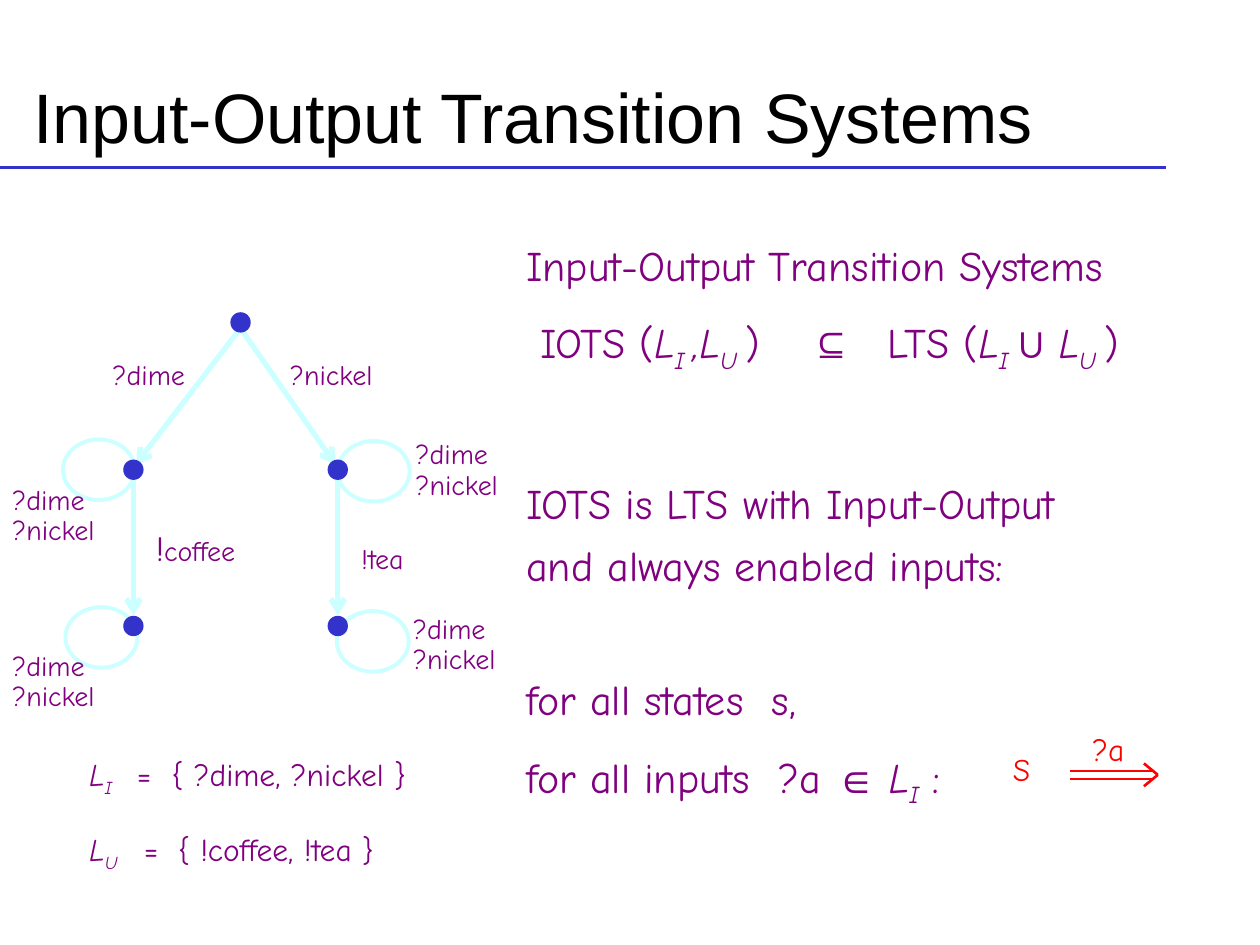
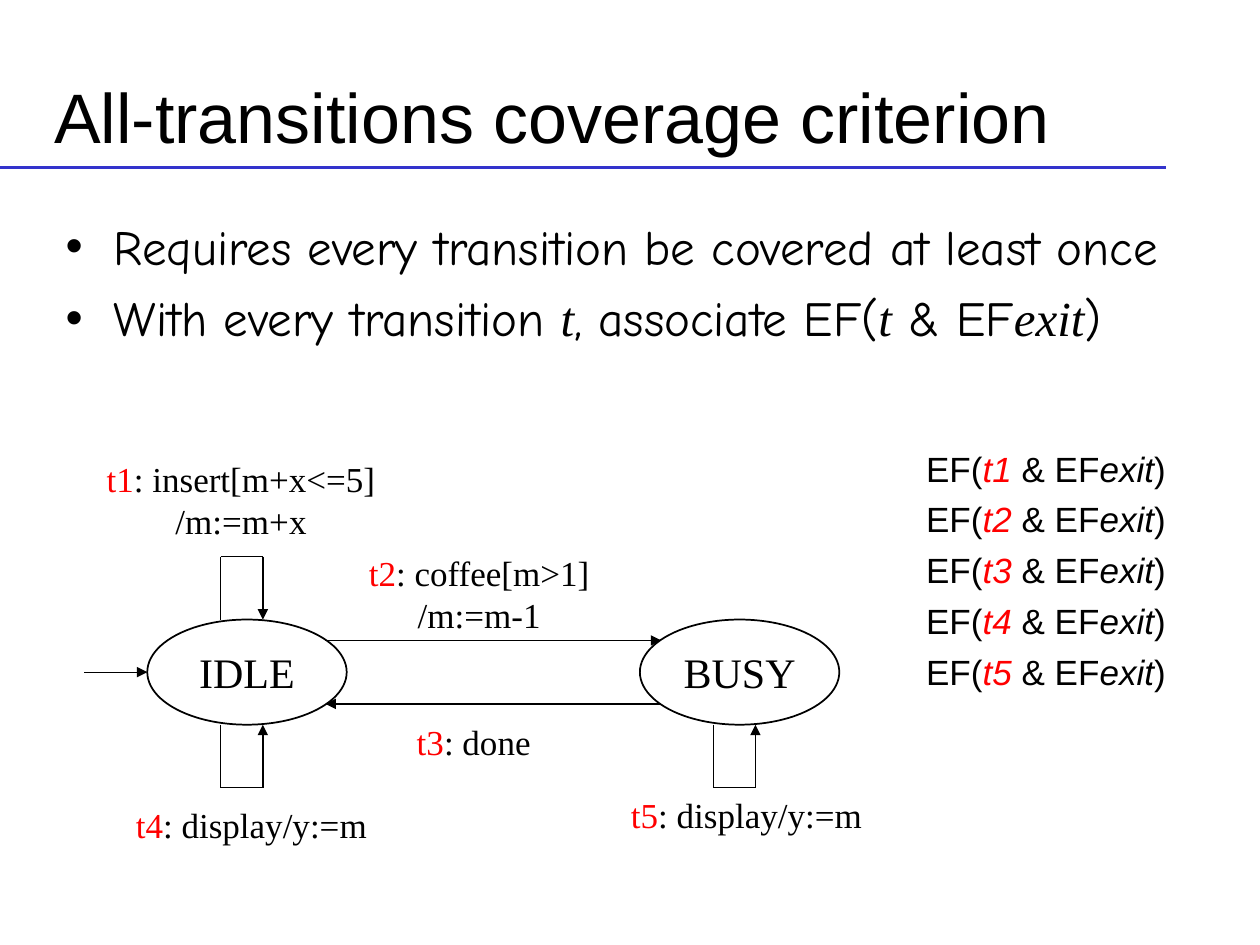
from lxml import etree
from pptx import Presentation
from pptx.dml.color import RGBColor
from pptx.enum.shapes import MSO_CONNECTOR, MSO_SHAPE
from pptx.enum.text import MSO_ANCHOR, MSO_AUTO_SIZE, PP_ALIGN
from pptx.oxml.ns import qn
from pptx.util import Cm, Pt

STRAIGHT = MSO_CONNECTOR.STRAIGHT
OVAL = MSO_SHAPE.OVAL
DOT = MSO_SHAPE.FLOWCHART_CONNECTOR
LEFT, CENTER = PP_ALIGN.LEFT, PP_ALIGN.CENTER
TOP, MIDDLE = MSO_ANCHOR.TOP, MSO_ANCHOR.MIDDLE
NO_FIT = MSO_AUTO_SIZE.NONE

COLORS = {
    "ink": "000000",
    "rule": "3333CC",
    "formula": "800080",
    "edge": "CCFFFF",
    "accent": "FF0000",
}
SANS, COMIC, SERIF = "Arial", "Comic Neue", "Times New Roman"
STYLES = {
    "italic": {"italic": True},
    "sub": {"italic": True, "baseline": -25000},
    "symbol": {"name": SANS},
    "variable": {"name": SERIF, "italic": True},
    "large": {"size": Pt(20)},
    "tag": {"color": "accent"},
    "italic tag": {"color": "accent", "italic": True},
}
TITLE_ONLY, TITLE_AND_BODY = 5, 1


def color(name):
    return RGBColor.from_string(COLORS[name])


def place(shape, box):
    shape.left, shape.top, shape.width, shape.height = map(Cm, box)


def add_span(para, span):
    """A span is plain text, or a pair of text and style name."""
    text, style = (span, None) if isinstance(span, str) else span
    run = para.add_run()
    run.text = text
    for key, value in STYLES.get(style, {}).items():
        if key == "baseline":
            run.font._element.set("baseline", str(value))
        elif key == "color":
            run.font.color.rgb = color(value)
        else:
            setattr(run.font, key, value)


def add_bullet(para):
    props = para._p.get_or_add_pPr()
    props.set("marL", str(Cm(0.97)))
    props.set("indent", str(-Cm(0.97)))
    etree.SubElement(props, qn("a:buFont"), typeface=SANS)
    etree.SubElement(props, qn("a:buChar"), char="•")


def add_tabs(para, stops):
    tabs = etree.SubElement(para._p.get_or_add_pPr(), qn("a:tabLst"))
    for stop in stops:
        etree.SubElement(tabs, qn("a:tab"), pos=str(Cm(stop)), algn="l")


def fill_text(frame, paras, font, size, ink="ink", align=LEFT, anchor=TOP,
              gaps=0, line=None, tabs=None, bullets=False):
    """gaps is one space before, or a list with one for each later paragraph."""
    frame.auto_size = NO_FIT
    frame.vertical_anchor = anchor
    for index, spans in enumerate(paras):
        para = frame.add_paragraph() if index else frame.paragraphs[0]
        if bullets:
            add_bullet(para)
        if tabs and tabs[index]:
            add_tabs(para, tabs[index])
        para.alignment = align
        gap = gaps[index - 1] if isinstance(gaps, list) else gaps
        para.space_before = Pt(gap if index else 0)
        if line:
            para.line_spacing = line
        para.font.name = font
        para.font.size = Pt(size)
        para.font.color.rgb = color(ink)
        for span in spans:
            add_span(para, span)


def add_text(page, box, paras, font, size, **options):
    shape = page.shapes.add_textbox(*map(Cm, box))
    shape.text_frame.word_wrap = True
    fill_text(shape.text_frame, paras, font, size, **options)


def add_line(page, start, end, ink, width, arrow=None):
    line = page.shapes.add_connector(STRAIGHT, *map(Cm, (*start, *end)))
    line.line.color.rgb = color(ink)
    line.line.width = Pt(width)
    if arrow:
        etree.SubElement(line.line._get_or_add_ln(), qn("a:tailEnd"), type=arrow)
    etree.SubElement(line._element.spPr, qn("a:effectLst"))


def add_round(page, kind, box, fill=None, outline=None, width=1):
    shape = page.shapes.add_shape(kind, *map(Cm, box))
    shape.shadow.inherit = False
    if fill:
        shape.fill.solid()
        shape.fill.fore_color.rgb = color(fill)
    else:
        shape.fill.background()
    if outline:
        shape.line.color.rgb = color(outline)
        shape.line.width = Pt(width)
    else:
        shape.line.fill.background()
    return shape


def add_page(deck, layout, title, title_left):
    page = deck.slides.add_slide(deck.slide_layouts[layout])
    for holder in list(page.placeholders):
        if holder.placeholder_format.type in (13, 15, 16):
            holder._element.getparent().remove(holder._element)
    place(page.shapes.title, (title_left, 1.27, 23.7, 2.11))
    fill_text(page.shapes.title.text_frame, [[title]], SANS, 40, anchor=MIDDLE)
    add_line(page, (0, 3.38), (23.5, 3.38), "rule", 2)
    return page


def add_label_sets(page, box):
    paras = [
        [("L", "italic"), ("I", "sub"), "\t=\t{ ?dime, ?nickel }"],
        [("L", "italic"), ("U", "sub"), "\t=\t{ !coffee, !tea }"],
    ]
    for para in paras:
        para[:2] = [para[0], para[1]]
    add_text(page, box, paras, COMIC, 18, ink="formula", gaps=18,
             tabs=[(0.96, 1.66), (1.1, 1.79)])


def add_definition(page, box):
    paras = [
        ["Input-Output Transition Systems"],
        [" IOTS (", ("L", "italic"), ("I ", "sub"), (",L", "italic"), ("U ", "sub"),
         ")\t", ("⊆", "symbol"), "\tLTS (", ("L", "italic"), ("I ", "sub"),
         ("∪ ", "symbol"), ("L", "italic"), ("U ", "sub"), ")"],
        ["IOTS is LTS with Input-Output"],
        ["and always enabled inputs:"],
        ["for all states\ts,"],
        ["for all inputs\t?a ", ("∈ ", "symbol"), ("L", "italic"), ("I", "sub"), " :"],
    ]
    add_text(page, box, paras, COMIC, 24, ink="formula", line=Pt(24),
             gaps=[24, 64, 11, 52.5, 24.5],
             tabs=[None, (5.73, 7.28), None, None, (4.95,), (5.08,)])


def add_transition_tree(page, box):
    left, top = box[:2]
    columns = [left + 2.69, left + 6.81]
    rows = [top + 3.17, top + 6.32]
    root = (left + 4.85, top + 0.2)
    dot = 0.41

    loop_shifts = [[(-0.7, 0), (0.72, 0.03)], [(-0.65, 0.23), (0.7, 0.31)]]
    for y, shifts in zip(rows, loop_shifts):
        for x, (dx, dy) in zip(columns, shifts):
            add_round(page, OVAL, (x + dx - 0.72, y + dy - 0.61, 1.45, 1.22),
                      outline="edge", width=2.25)

    for x in columns:
        side = 0.05 if x < root[0] else -0.05
        add_line(page, (root[0] + side, root[1] + 0.05), (x + side, rows[0] - 0.11),
                 "edge", 3, "arrow")
        add_line(page, (x, rows[0] + 0.21), (x, rows[1] - 0.22), "edge", 3, "arrow")

    for x, y in [root] + [(x, y) for x in columns for y in rows]:
        add_round(page, DOT, (x - dot / 2, y - dot / 2, dot, dot), fill="rule")

    for x, y in [(0, 3.38), (8.13, 2.46), (0, 6.73), (8.08, 5.97)]:
        add_text(page, (left + x, top + y, 2.54, 1.47), [["?dime"], ["?nickel"]],
                 COMIC, 16, ink="formula", anchor=MIDDLE, line=0.9)

    edge_labels = [(3, 1.17, ["?dime"]), (6.68, 1.17, ["?nickel"]),
                   (3.94, 4.65, [("!", "large"), "coffee"]), (7.71, 4.88, ["!tea"])]
    for x, y, spans in edge_labels:
        add_text(page, (left + x - 1.5, top + y - 0.6, 3, 1.2), [spans], COMIC, 16,
                 ink="formula", align=CENTER, anchor=MIDDLE, line=1.2)


def add_double_arrow(page, box):
    left, top = box[:2]
    add_text(page, (left, top + 0.4, 1, 1.02), [["S"]], COMIC, 18, ink="accent")
    add_text(page, (left + 1.6, top, 1.4, 1.02), [["?a"]], COMIC, 18, ink="accent")
    middle, tip = top + 1.02, left + 3.17
    for side in (-1, 1):
        shaft = middle + side * 0.08
        add_line(page, (left + 1.4, shaft), (tip - 0.1, shaft), "accent", 1.5)
        add_line(page, (tip, middle), (tip - 0.28, middle + side * 0.23), "accent", 1.5)


def add_self_loop(page, left, state_edge, height):
    """A square loop that leaves a state and comes back; height < 0 goes up."""
    right, far = left + 0.85, state_edge + height
    add_line(page, (left, state_edge), (left, far), "ink", 0.75)
    add_line(page, (left, far), (right, far), "ink", 0.75)
    add_line(page, (right, far), (right, state_edge), "ink", 0.75, "triangle")


def add_state_machine(page, box):
    left, top = box[:2]
    wide, high = 4.02, 2.12
    idle, busy = left + 1.27, left + 11.2
    state_top = top + 3.4
    state_bottom = state_top + high

    for x, name in [(idle, "IDLE"), (busy, "BUSY")]:
        state = add_round(page, OVAL, (x, state_top, wide, high), outline="ink")
        state.text_frame.word_wrap = False
        fill_text(state.text_frame, [[name]], SERIF, 24, align=CENTER, anchor=MIDDLE)
        add_self_loop(page, x + 1.48, state_bottom, 1.27)
    add_self_loop(page, idle + 1.48, state_top, -1.27)

    middle = state_top + high / 2
    inner = (idle + wide - 0.43, busy + 0.43)
    add_line(page, (left, middle), (idle, middle), "ink", 0.75, "triangle")
    add_line(page, (inner[0], middle - 0.64), (inner[1], middle - 0.64), "ink", 1, "triangle")
    add_line(page, (inner[1], middle + 0.64), (inner[0], middle + 0.64), "ink", 1, "triangle")

    labels = [
        (3.16, 0, "t1", [": insert[m+x<=5]", "/m:=m+x"]),
        (7.96, 1.9, "t2", [": coffee[m>1]", "/m:=m-1"]),
        (7.85, 5.3, "t3", [": done"]),
        (3.37, 6.98, "t4", [": display/y:=m"]),
        (13.35, 6.78, "t5", [": display/y:=m"]),
    ]
    for x, y, tag, (first, *others) in labels:
        paras = [[(tag, "tag"), first]] + [[text] for text in others]
        add_text(page, (left + x - 3.3, top + y, 6.6, 0.3 + 0.83 * len(paras)),
                 paras, SERIF, 20, align=CENTER)


def add_coverage_formulas(page, box):
    paras = [["EF(", (f"t{number}", "italic tag"), " & EF", ("exit", "italic"), ")"]
             for number in range(1, 6)]
    add_text(page, box, paras, SANS, 20, gaps=5)


def add_systems_page(deck):
    page = add_page(deck, TITLE_ONLY, "Input-Output Transition Systems", 0.42)
    add_label_sets(page, (1.55, 15.1, 8, 2.6))
    add_definition(page, (10.36, 4.88, 14.17, 11.53))
    add_transition_tree(page, (0, 6.3, 10.7, 8.2))
    add_double_arrow(page, (20.17, 14.6, 3.2, 1.4))


def add_coverage_page(deck):
    page = add_page(deck, TITLE_AND_BODY, "All-transitions coverage criterion", 0.84)
    body = page.placeholders[1]
    place(body, (1.07, 4.24, 23.5, 12.7))
    paras = [
        ["Requires every transition be covered at least once"],
        ["With every transition ", ("t", "variable"), ", associate EF(",
         ("t", "variable"), " & EF", ("exit", "variable"), ")"],
    ]
    fill_text(body.text_frame, paras, COMIC, 28, gaps=7, bullets=True)
    add_state_machine(page, (1.7, 9.09, 16, 8.1))
    add_coverage_formulas(page, (18.42, 8.89, 5.6, 5.21))


def main():
    deck = Presentation()
    deck.slide_width, deck.slide_height = Cm(25.4), Cm(19.05)
    add_systems_page(deck)
    add_coverage_page(deck)
    deck.save("out.pptx")


if __name__ == "__main__":
    main()
